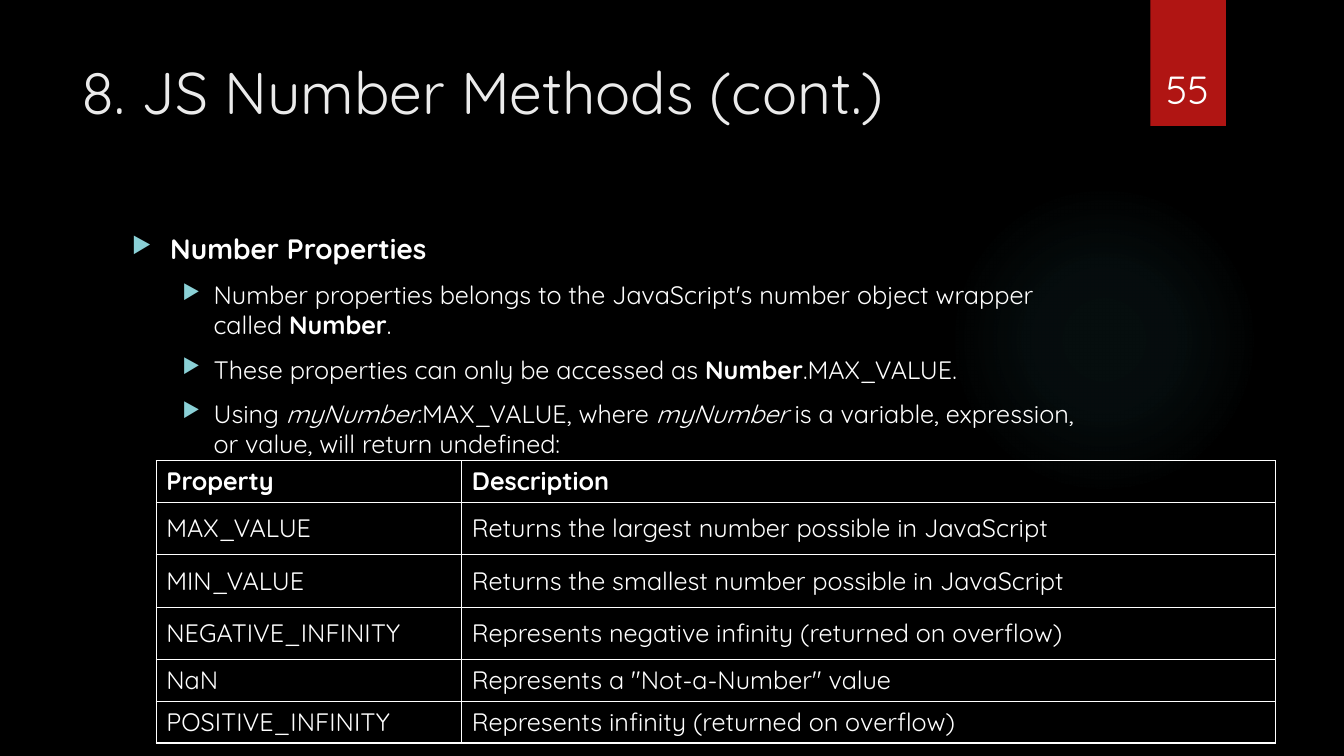
"""Build the slide on the properties of JavaScript numbers."""
from dataclasses import dataclass

from lxml.etree import SubElement
from pptx import Presentation
from pptx.dml.color import RGBColor
from pptx.enum.shapes import MSO_SHAPE as Preset
from pptx.enum.text import MSO_ANCHOR as Anchor, MSO_AUTO_SIZE as AutoSize, PP_ALIGN as Align
from pptx.oxml import parse_xml
from pptx.oxml.ns import nsdecls, qn
from pptx.util import Inches, Pt

BLACK = RGBColor(0x00, 0x00, 0x00)
WHITE = RGBColor(0xFF, 0xFF, 0xFF)
TITLE_GREY = RGBColor(0xEB, 0xEB, 0xEB)
RED = RGBColor(0xB0, 0x15, 0x13)
GLOW_TEAL = RGBColor(0x50, 0xB9, 0xC1)
BULLET_TEAL = RGBColor(0x8A, 0xD0, 0xD6)
FONT = "Quicksand"
GLOW_STOPS = ((0, 7), (36, 6), (69, 0))


@dataclass(frozen=True)
class Box:
    """A place on the slide in inches."""
    left: float
    top: float
    width: float
    height: float

    def lengths(self) -> list:
        """Return the four lengths in slide units."""
        return [Inches(value) for value in (self.left, self.top, self.width, self.height)]


@dataclass(frozen=True)
class Run:
    """A piece of text with its emphasis."""
    text: str
    bold: bool = False
    italic: bool = False


@dataclass(frozen=True)
class Bullet:
    """A bulleted paragraph."""
    runs: tuple
    level: int = 1


@dataclass(frozen=True)
class Level:
    """The size and indent of an outline level."""
    size: int
    margin: float
    hanging: float


LEVELS = (Level(20, 0.38, 0.38), Level(18, 0.81, 0.31))
BULLETS = (
    Bullet((Run("Number Properties", bold=True),), level=0),
    Bullet((Run("Number properties belongs to the JavaScript's number object wrapper called "),
            Run("Number", bold=True), Run("."))),
    Bullet((Run("These properties can only be accessed as "),
            Run("Number", bold=True), Run(".MAX_VALUE."))),
    Bullet((Run("Using "), Run("myNumber", italic=True), Run(".MAX_VALUE, where "),
            Run("myNumber", italic=True),
            Run(" is a variable, expression, or value, will return undefined:"))),
)
PROPERTY_ROWS = (
    ("Property", "Description"),
    ("MAX_VALUE", "Returns the largest number possible in JavaScript"),
    ("MIN_VALUE", "Returns the smallest number possible in JavaScript"),
    ("NEGATIVE_INFINITY", "Represents negative infinity (returned on overflow)"),
    ("NaN", 'Represents a "Not-a-Number" value'),
    ("POSITIVE_INFINITY", "Represents infinity (returned on overflow)"),
)
COLUMN_WIDTHS = (3.03, 8.07)
ROW_HEIGHTS = (0.41, 0.52, 0.52, 0.52, 0.41, 0.41)


def add_run(paragraph, run: Run, size: int, color: RGBColor = WHITE) -> None:
    """Append a formatted run to a paragraph."""
    text_run = paragraph.add_run()
    text_run.text = run.text
    font = text_run.font
    settings = {"name": FONT, "size": Pt(size), "bold": run.bold, "italic": run.italic}
    for name, value in settings.items():
        setattr(font, name, value)
    font.color.rgb = color


def format_frame(frame, anchor) -> None:
    """Set the wrapping and anchor of a text frame."""
    settings = {"word_wrap": True, "auto_size": AutoSize.NONE, "vertical_anchor": anchor}
    for name, value in settings.items():
        setattr(frame, name, value)


def add_shape(slide, preset, box: Box, color: RGBColor):
    """Draw a filled preset shape without outline or shadow."""
    shape = slide.shapes.add_shape(preset, *box.lengths())
    shape.shadow.inherit = False
    shape.fill.solid()
    shape.fill.fore_color.rgb = color
    shape.line.fill.background()
    return shape


def add_glow(slide, box: Box) -> None:
    """Draw a circle that fades out from its centre."""
    glow = add_shape(slide, Preset.OVAL, box, GLOW_TEAL)
    stops = "".join(
        f'<a:gs pos="{position * 1000}"><a:srgbClr val="{GLOW_TEAL}">'
        f'<a:alpha val="{opacity * 1000}"/></a:srgbClr></a:gs>'
        for position, opacity in GLOW_STOPS)
    gradient = parse_xml(
        f'<a:gradFill {nsdecls("a")} rotWithShape="1"><a:gsLst>{stops}</a:gsLst>'
        '<a:path path="circle"><a:fillToRect l="50000" t="50000" r="50000" b="50000"/>'
        '</a:path></a:gradFill>')
    properties = glow.element.spPr
    properties.replace(properties.find(qn("a:solidFill")), gradient)


def add_title(slide, box: Box, text: str) -> None:
    """Place and fill the title placeholder."""
    title = slide.shapes.title
    for name, value in zip(("left", "top", "width", "height"), box.lengths()):
        setattr(title, name, value)
    format_frame(title.text_frame, Anchor.TOP)
    paragraph = title.text_frame.paragraphs[0]
    paragraph.alignment = Align.LEFT
    add_run(paragraph, Run(text), 42, TITLE_GREY)


def add_page_number(slide, box: Box, text: str) -> None:
    """Write the page number."""
    frame = slide.shapes.add_textbox(*box.lengths()).text_frame
    format_frame(frame, Anchor.BOTTOM)
    paragraph = frame.paragraphs[0]
    paragraph.alignment = Align.CENTER
    add_run(paragraph, Run(text), 28)


def add_bullets(slide, box: Box, bullets: tuple) -> None:
    """Write the bulleted outline."""
    frame = slide.shapes.add_textbox(*box.lengths()).text_frame
    format_frame(frame, Anchor.TOP)
    for index, bullet in enumerate(bullets):
        paragraph = frame.add_paragraph() if index else frame.paragraphs[0]
        level = LEVELS[bullet.level]
        paragraph.level = bullet.level
        paragraph.space_before = Pt(10)
        properties = paragraph._p.get_or_add_pPr()
        properties.set("marL", str(Inches(level.margin)))
        properties.set("indent", str(-Inches(level.hanging)))
        color = SubElement(properties, qn("a:buClr"))
        SubElement(color, qn("a:srgbClr"), val=str(BULLET_TEAL))
        SubElement(properties, qn("a:buSzPct"), val="80000")
        SubElement(properties, qn("a:buChar"), char="▶")
        for run in bullet.runs:
            add_run(paragraph, run, level.size)


def add_borders(cell) -> None:
    """Give a cell thin white borders on all sides."""
    properties = cell._tc.get_or_add_tcPr()
    for side in ("lnL", "lnR", "lnT", "lnB"):
        line = SubElement(properties, qn(f"a:{side}"), w=str(Pt(1)))
        fill = SubElement(line, qn("a:solidFill"))
        SubElement(fill, qn("a:srgbClr"), val=str(WHITE))


def add_property_table(slide, box: Box) -> None:
    """Draw the table of number properties."""
    table = slide.shapes.add_table(
        len(PROPERTY_ROWS), len(COLUMN_WIDTHS), *box.lengths()).table
    table.first_row = table.horz_banding = False
    for column, width in zip(table.columns, COLUMN_WIDTHS):
        column.width = Inches(width)
    for index, (row, height) in enumerate(zip(table.rows, ROW_HEIGHTS)):
        row.height = Inches(height)
        for cell, text in zip(row.cells, PROPERTY_ROWS[index]):
            add_borders(cell)
            cell.fill.background()
            cell.vertical_anchor = Anchor.MIDDLE
            add_run(cell.text_frame.paragraphs[0], Run(text, bold=index == 0), 18)


def main() -> None:
    """Build and save the presentation."""
    presentation = Presentation()
    presentation.slide_width, presentation.slide_height = Inches(13.33), Inches(7.5)
    slide = presentation.slides.add_slide(presentation.slide_layouts[5])
    slide.background.fill.solid()
    slide.background.fill.fore_color.rgb = BLACK
    add_glow(slide, Box(9.41, 1.83, 3.08, 3.08))
    add_shape(slide, Preset.RECTANGLE, Box(11.41, 0, 0.75, 1.25), RED)
    add_title(slide, Box(0.71, 0.5, 10.29, 1.53), "8. JS Number Methods (cont.)")
    add_bullets(slide, Box(1.21, 2.25, 9.78, 4.96), BULLETS)
    add_page_number(slide, Box(11.32, 0.32, 0.92, 0.84), "55")
    add_property_table(slide, Box(1.55, 4.57, sum(COLUMN_WIDTHS), sum(ROW_HEIGHTS)))
    presentation.save("out.pptx")


if __name__ == "__main__":
    main()
